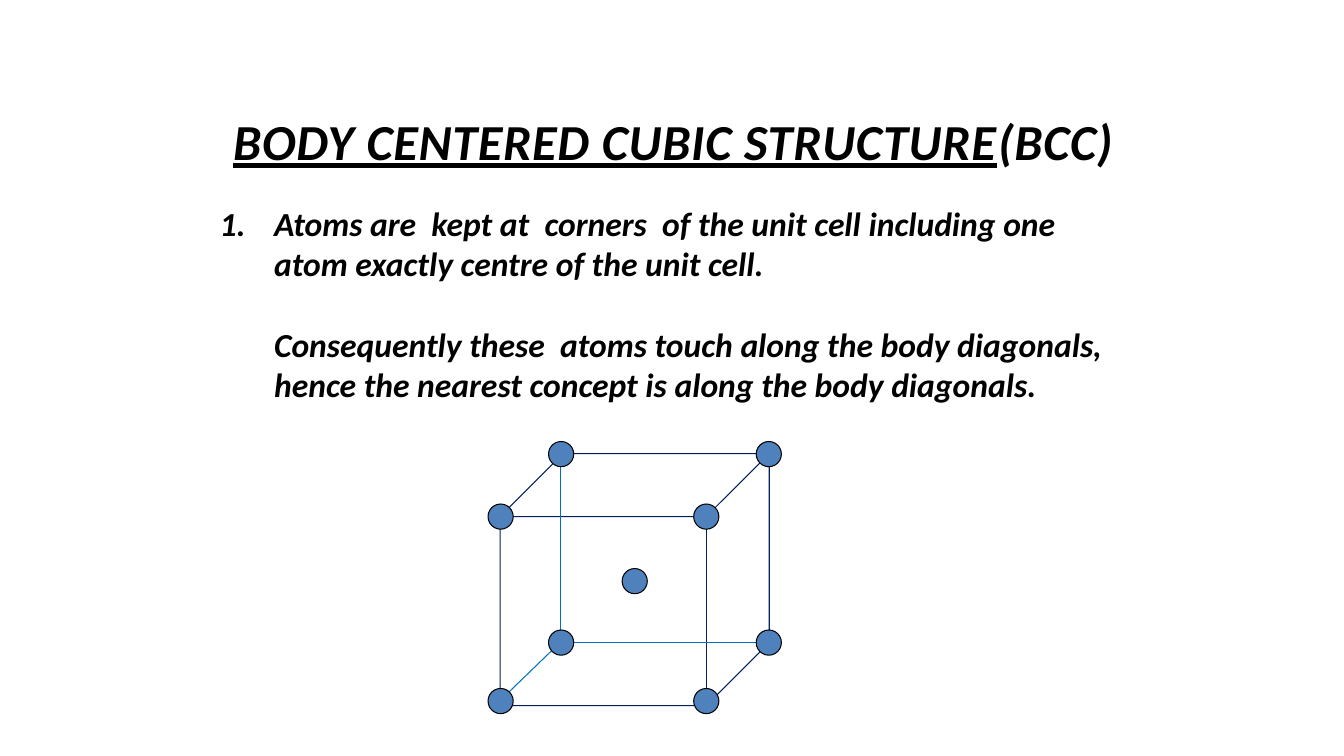
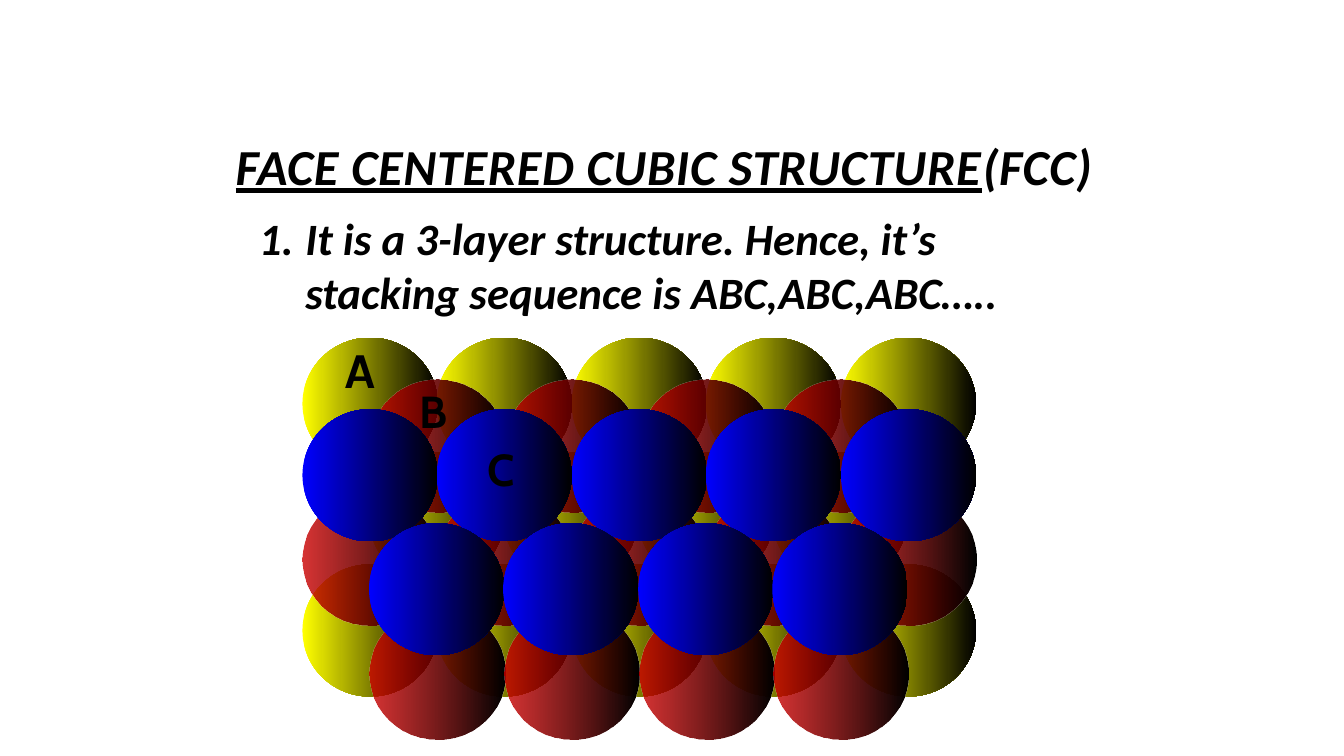
from dataclasses import dataclass

from lxml import etree
from pptx import Presentation
from pptx.dml.color import RGBColor
from pptx.enum.shapes import MSO_CONNECTOR, MSO_SHAPE
from pptx.enum.text import PP_ALIGN
from pptx.oxml.ns import qn
from pptx.util import Pt

OVAL, CUBE = MSO_SHAPE.OVAL, MSO_SHAPE.CUBE
STRAIGHT = MSO_CONNECTOR.STRAIGHT
LEFT, CENTER = PP_ALIGN.LEFT, PP_ALIGN.CENTER
PX = 9144  # EMU per px, 100 px to the inch


@dataclass(frozen=True)
class Theme:
    ink: str = "000000"
    atom: str = "4F81BD"
    edge: str = "002060"
    hidden_edge: str = "0070C0"
    layer_a: str = "FFFF00"
    layer_b: str = "CC0000"
    layer_c: str = "0000FF"
    font: str = "Calibri"
    title_size: int = 36
    line_width: float = 0.75
    tracking: int = 50  # hundredths of a point


class Deck:
    def __init__(self, theme):
        self.theme = theme
        self.prs = Presentation()
        self.prs.slide_width, self.prs.slide_height = 1333 * PX, 750 * PX
        self.s = None

    def new_slide(self):
        self.s = self.prs.slides.add_slide(self.prs.slide_layouts[6])

    def text(self, x, y, w, h, text, size, font=None, italic=True, align=LEFT):
        """Bold text box; returns its paragraphs."""
        tf = self.s.shapes.add_textbox(x * PX, y * PX, w * PX, h * PX).text_frame
        tf.word_wrap = True
        tf.text = text
        for p in tf.paragraphs:
            p.alignment = align
            for r in p.runs:
                self.style(r, size, font, italic)
        return tf.paragraphs

    def style(self, r, size, font=None, italic=True):
        r.font.name = font or self.theme.font
        r.font.size = Pt(size)
        r.font.bold, r.font.italic = True, italic
        r.font.color.rgb = RGBColor.from_string(self.theme.ink)

    def title(self, x, y, w, name, short):
        size = self.theme.title_size
        p = self.text(x, y, w, 71, name, size, align=CENTER)[0]
        p.runs[0].font.underline = True
        self.style(p.add_run(), size)
        p.runs[1].text = short
        for r in p.runs:
            r.font._element.set("spc", str(self.theme.tracking))

    def numbered(self, x, y, w, h, text, size, indent):
        """First paragraph is numbered, the others align with its text."""
        for i, p in enumerate(self.text(x, y, w, h, text, size)):
            pPr = p._p.get_or_add_pPr()
            pPr.set("marL", str(indent * PX))
            pPr.set("indent", str(0 if i else -indent * PX))
            if i:
                p.space_before = Pt(size * 1.2)
            else:
                etree.SubElement(pPr, qn("a:buAutoNum"), type="arabicPeriod")

    def shape(self, kind, x, y, w, h, fill=None, line=None):
        sp = self.s.shapes.add_shape(kind, x * PX, y * PX, w * PX, h * PX)
        sp.shadow.inherit = False
        if fill:
            sp.fill.solid()
            sp.fill.fore_color.rgb = RGBColor.from_string(fill)
        else:
            sp.fill.background()
        if line:
            sp.line.color.rgb = RGBColor.from_string(line)
            sp.line.width = Pt(self.theme.line_width)
        else:
            sp.line.fill.background()
        return sp

    def line(self, x1, y1, x2, y2, color):
        cn = self.s.shapes.add_connector(STRAIGHT, x1 * PX, y1 * PX, x2 * PX, y2 * PX)
        cn.line.color.rgb = RGBColor.from_string(color)
        cn.line.width = Pt(self.theme.line_width)
        etree.SubElement(cn._element.spPr, qn("a:effectLst"))

    def atom(self, cx, cy):
        self.shape(OVAL, cx - 12, cy - 12, 25, 25, self.theme.atom, self.theme.ink)

    def sphere(self, x, y, color, alpha):
        sp = self.shape(OVAL, x, y, 134, 131)
        sp.fill.gradient()
        sp.fill.gradient_angle = 0
        for stop, rgb in zip(sp.fill.gradient_stops, (color, self.theme.ink)):
            stop.color.rgb = RGBColor.from_string(rgb)
        if alpha < 100:
            first = sp._element.spPr.find(".//" + qn("a:srgbClr"))
            etree.SubElement(first, qn("a:alpha"), val=str(alpha * 1000))


def body_centered(deck):
    t = deck.theme
    deck.new_slide()
    deck.title(217, 104, 901, "BODY CENTERED CUBIC STRUCTURE", "(BCC)")
    deck.numbered(
        208, 196, 901, 212,
        "Atoms are  kept at  corners  of the unit cell including one\v"
        "atom exactly centre of the unit cell.\n"
        "Consequently these  atoms touch along the body diagonals,\v"
        "hence the nearest concept is along the body diagonals.",
        24, 54)

    # Unit cell with its three hidden edges
    deck.shape(CUBE, 496, 450, 267, 250, line=t.edge)
    front_x, front_y = (496, 700), (512, 695)
    back_x, back_y = (556, 762), (450, 637)
    hidden = (back_x[0], back_y[1])
    for end in ((back_x[1], back_y[1]), (front_x[0], front_y[1]), (back_x[0], back_y[0])):
        deck.line(*hidden, *end, t.hidden_edge)

    # Corner atoms, then the one at the centre
    for xs, ys in ((front_x, front_y), (back_x, back_y)):
        for cx in xs:
            for cy in ys:
                deck.atom(cx, cy)
    deck.atom(629, 576)


def face_centered(deck):
    t = deck.theme
    deck.new_slide()
    deck.title(217, 129, 883, "FACE CENTERED CUBIC STRUCTURE", "(FCC)")

    # Stacked layers: colour, opacity, rows of (left, top, count)
    layers = (
        (t.layer_a, 100, ((300, 335, 5), (366, 448, 4), (300, 560, 5))),
        (t.layer_b, 80, ((367, 377, 4), (300, 490, 5), (367, 603, 4))),
        (t.layer_c, 100, ((300, 406, 5), (366, 519, 4))),
    )
    for color, alpha, rows in layers:
        for left, top, count in rows:
            for i in range(count):
                deck.sphere(left + i * 267 // 2, top, color, alpha)

    # Layer letters
    for letter, x, y, w, h, size, font in (
            ("A", 332, 331, 55, 71, 36, "Karla"),
            ("B", 406, 376, 52, 64, 32, "Cabin"),
            ("C", 474, 433, 49, 64, 32, "Cabin")):
        deck.text(x, y, w, h, letter, size, font, italic=False)

    deck.numbered(
        247, 204, 795, 118,
        "It is a 3-layer structure. Hence, it’s\v"
        "stacking sequence is ABC,ABC,ABC…..",
        32, 46)


def main():
    deck = Deck(Theme())
    body_centered(deck)
    face_centered(deck)
    deck.prs.save("out.pptx")


if __name__ == "__main__":
    main()
